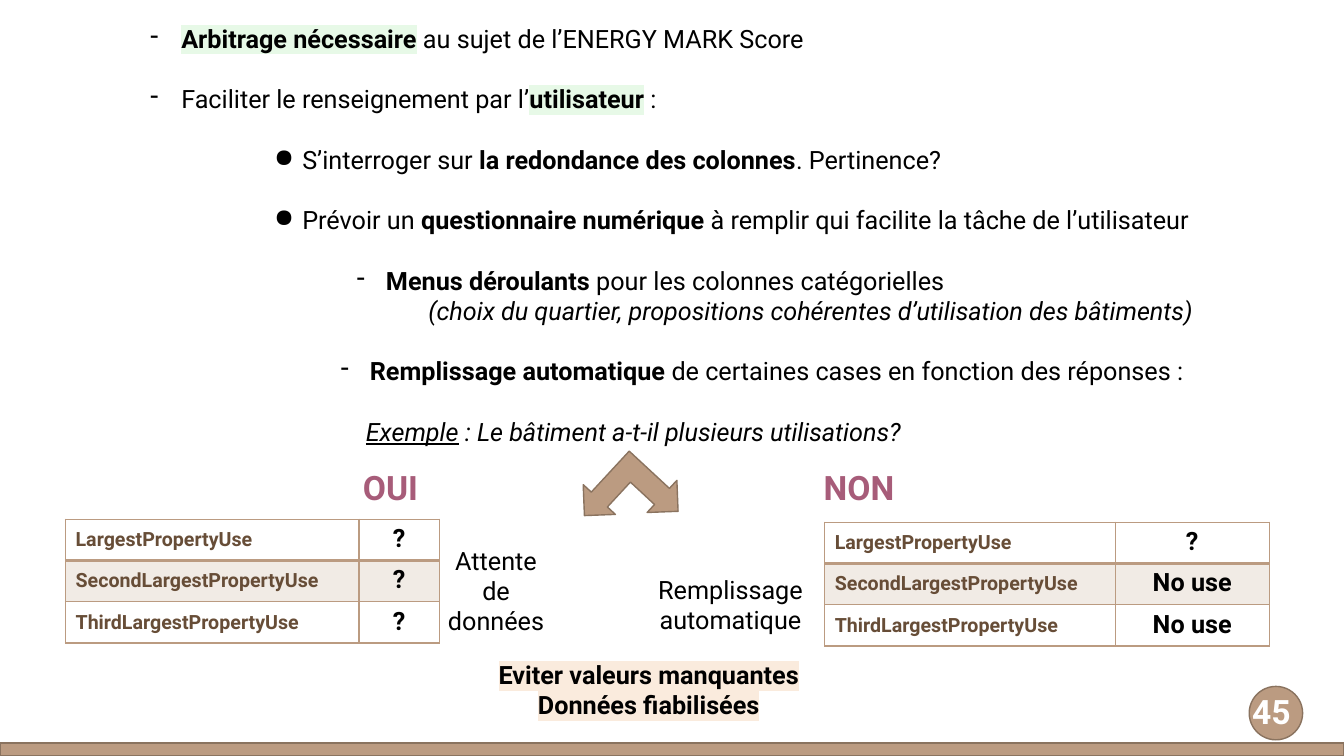
from lxml import etree
from pptx import Presentation
from pptx.dml.color import RGBColor
from pptx.enum.shapes import MSO_SHAPE
from pptx.enum.text import MSO_ANCHOR, PP_ALIGN
from pptx.oxml.ns import qn
from pptx.util import Pt

PX = 9144  # 100 px to the inch
LEFT, CENTER = PP_ALIGN.LEFT, PP_ALIGN.CENTER
TOP, MIDDLE = MSO_ANCHOR.TOP, MSO_ANCHOR.MIDDLE
RECT, OVAL, FORK = MSO_SHAPE.RECTANGLE, MSO_SHAPE.OVAL, MSO_SHAPE.LEFT_UP_ARROW

FONT = "Roboto"
TAN, TAN_EDGE, BROWN, PLUM = "BB9B81", "8A735F", "674D37", "A75C79"
BLACK, WHITE, GREEN, PEACH = "000000", "FFFFFF", "E7F9E7", "FAEBDD"
BLANK_LINE = 21.6  # points between separate points of the list


def px(length):
    return int(length * PX)


def rgb(value):
    return RGBColor.from_string(value)


def add_solid(parent, color, alpha=None):
    solid = etree.SubElement(parent, qn("a:solidFill"))
    tone = etree.SubElement(solid, qn("a:srgbClr"), val=color)
    if alpha:
        etree.SubElement(tone, qn("a:alpha"), val=str(alpha * 1000))


def write(paragraph, text, size=18, color=BLACK, bold=False, italic=False,
          underline=False, highlight=None):
    run = paragraph.add_run()
    run.text = text
    font = run.font
    font.name, font.size, font.color.rgb = FONT, Pt(size), rgb(color)
    font.bold, font.italic, font.underline = bold, italic, underline
    if highlight:
        mark = etree.Element(qn("a:highlight"))
        etree.SubElement(mark, qn("a:srgbClr"), val=highlight)
        run._r.rPr.find(qn("a:solidFill")).addnext(mark)


def indent(paragraph, margin, hanging=0, bullet=None):
    props = paragraph._p.get_or_add_pPr()
    props.set("marL", str(px(margin)))
    props.set("indent", str(-px(hanging)))
    if bullet:
        etree.SubElement(props, qn("a:buChar"), char=bullet)


class SlideBuilder:
    def __init__(self, slide):
        self.shapes = slide.shapes

    def shape(self, kind, left, top, width, height, rotation=0):
        shape = self.shapes.add_shape(kind, px(left), px(top), px(width), px(height))
        shape.shadow.inherit = False
        shape.fill.solid()
        shape.fill.fore_color.rgb = rgb(TAN)
        shape.line.color.rgb = rgb(TAN_EDGE)
        shape.line.width = Pt(1)
        shape.rotation = rotation

    def frame(self, left, top, width, height):
        box = self.shapes.add_textbox(px(left), px(top), px(width), px(height))
        box.text_frame.word_wrap = True
        return box.text_frame

    def label(self, left, top, width, height, *lines, align=LEFT, **style):
        frame = self.frame(left, top, width, height)
        for i, line in enumerate(lines):
            paragraph = frame.add_paragraph() if i else frame.paragraphs[0]
            paragraph.alignment = align
            write(paragraph, line, **style)

    def outline(self, left, top, width, height, points):
        frame = self.frame(left, top, width, height)
        for i, (margin, hanging, bullet, space, runs) in enumerate(points):
            paragraph = frame.add_paragraph() if i else frame.paragraphs[0]
            indent(paragraph, margin, hanging, bullet)
            paragraph.space_before = Pt(space)
            for text, style in runs:
                write(paragraph, text, **style)

    def border(self, cell, bottom):
        props = cell._tc.get_or_add_tcPr()
        sides = {"lnL": 1, "lnR": 1, "lnT": 1, "lnB": bottom}
        for place, (side, width) in enumerate(sides.items()):
            line = etree.Element(qn(f"a:{side}"), w=str(Pt(width)))
            add_solid(line, TAN)
            props.insert(place, line)

    def table(self, left, top, widths, row_height, rows):
        table = self.shapes.add_table(
            len(rows), len(widths), px(left), px(top),
            px(sum(widths)), px(row_height * len(rows))).table
        table.first_row = table.horz_banding = False
        for column, width in zip(table.columns, widths):
            column.width = px(width)
        for r, row in enumerate(rows):
            table.rows[r].height = px(row_height)
            for c, text in enumerate(row):
                cell = table.cell(r, c)
                name = c == 0
                cell.vertical_anchor = MIDDLE if name else TOP
                paragraph = cell.text_frame.paragraphs[0]
                paragraph.alignment = LEFT if name else CENTER
                write(paragraph, text, bold=True, size=14 if name else 18,
                      color=BROWN if name else BLACK)
                if r == 1:
                    add_solid(cell._tc.get_or_add_tcPr(), TAN, alpha=20)
                else:
                    cell.fill.background()
                self.border(cell, bottom=2 if r == 0 else 1)


PLAIN, BOLD, ITALIC = {}, {"bold": True}, {"italic": True}
KEY = {"bold": True, "highlight": GREEN}

# margin, hanging, bullet, space before, runs
RECOMMENDATIONS = [
    (31, 31, "-", 0, [("Arbitrage nécessaire", KEY),
                      (" au sujet de l’ENERGY MARK Score", PLAIN)]),
    (31, 31, "-", BLANK_LINE, [("Faciliter le renseignement par l’", PLAIN),
                               ("utilisateur", KEY), (" :", PLAIN)]),
    (151, 28, "●", BLANK_LINE, [("S’interroger sur ", PLAIN),
                                ("la redondance des colonnes", BOLD),
                                (". Pertinence?", PLAIN)]),
    (151, 28, "●", BLANK_LINE, [("Prévoir un ", PLAIN),
                                ("questionnaire numérique ", BOLD),
                                ("à remplir qui facilite la tâche de l’utilisateur", PLAIN)]),
    (234, 29, "-", BLANK_LINE, [("Menus déroulants ", BOLD),
                                ("pour les colonnes catégorielles", PLAIN)]),
    (276, 0, None, 0, [("(choix du quartier, propositions cohérentes "
                        "d’utilisation des bâtiments)", ITALIC)]),
    (218, 29, "-", BLANK_LINE, [("Remplissage automatique ", BOLD),
                                ("de certaines cases en fonction des réponses :", PLAIN)]),
    (214, 0, None, BLANK_LINE, [("Exemple", {"italic": True, "underline": True}),
                                (" : Le bâtiment a-t-il plusieurs utilisations?", ITALIC)]),
]
PROPERTY_USES = ["LargestPropertyUse", "SecondLargestPropertyUse", "ThirdLargestPropertyUse"]


def main():
    deck = Presentation()
    deck.slide_width, deck.slide_height = px(1333), px(750)
    page = SlideBuilder(deck.slides.add_slide(deck.slide_layouts[6]))

    # Footer bar and page number
    page.shape(RECT, 0, 737, 1333, 13)
    page.shape(OVAL, 1239, 681, 53, 53)
    page.label(1232, 681, 67, 50, "45", size=24, color=WHITE, bold=True)

    # Recommendations
    page.outline(139, 18, 1130, 555, RECOMMENDATIONS)

    # The two answers and their tables
    answers = [
        ("OUI", 350, 65, 515, (291, 80), ["?", "?", "?"]),
        ("NON", 807, 818, 518, (288, 153), ["?", "No use", "No use"]),
    ]
    for answer, answer_left, left, top, widths, values in answers:
        page.label(answer_left, 458, 151, 50, answer, size=24, color=PLUM, bold=True)
        page.table(left, top, widths, 41, list(zip(PROPERTY_USES, values)))
    page.shape(FORK, 582, 450, 87, 88, rotation=222.8)

    # Outcomes
    page.label(425, 536, 134, 101, "Attente de données", align=CENTER)
    page.label(619, 565, 211, 71, "Remplissage automatique", align=CENTER)
    page.label(457, 649, 373, 71, "Eviter valeurs manquantes", "Données fiabilisées",
               align=CENTER, bold=True, highlight=PEACH)

    deck.save("out.pptx")


if __name__ == "__main__":
    main()
